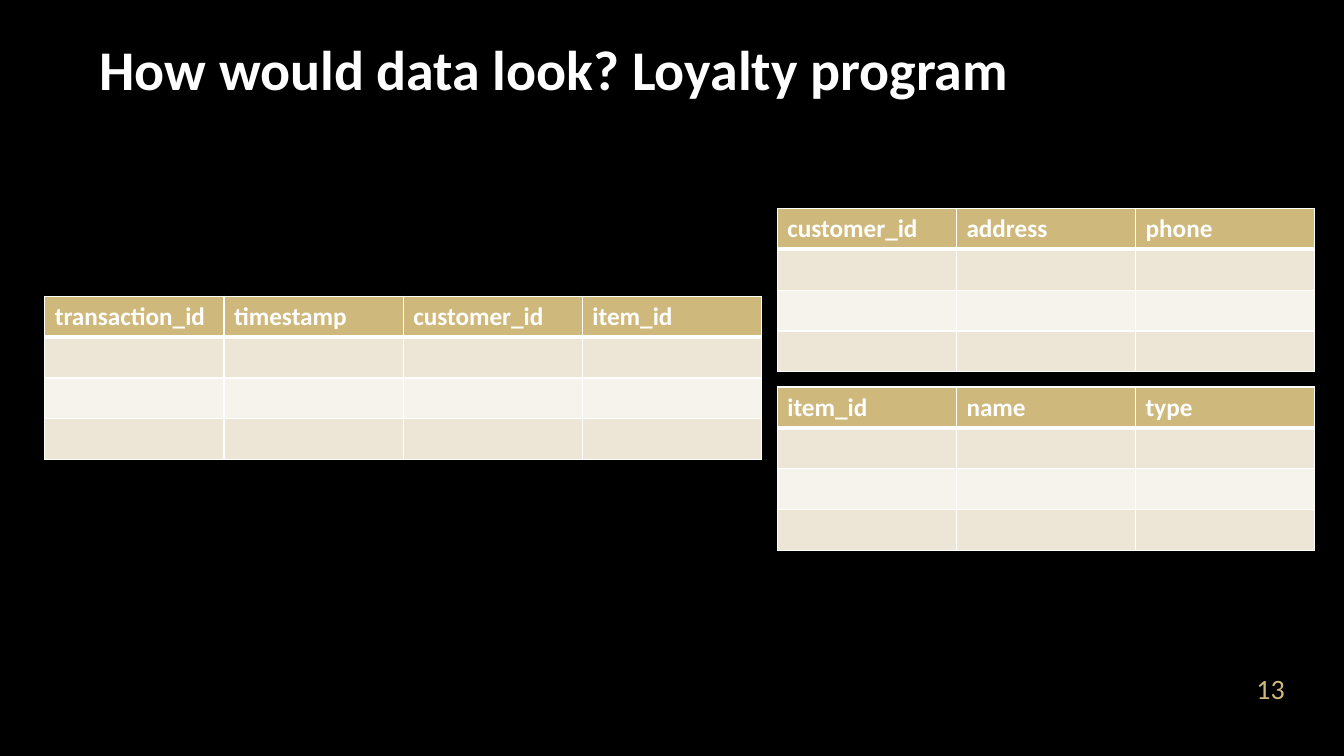
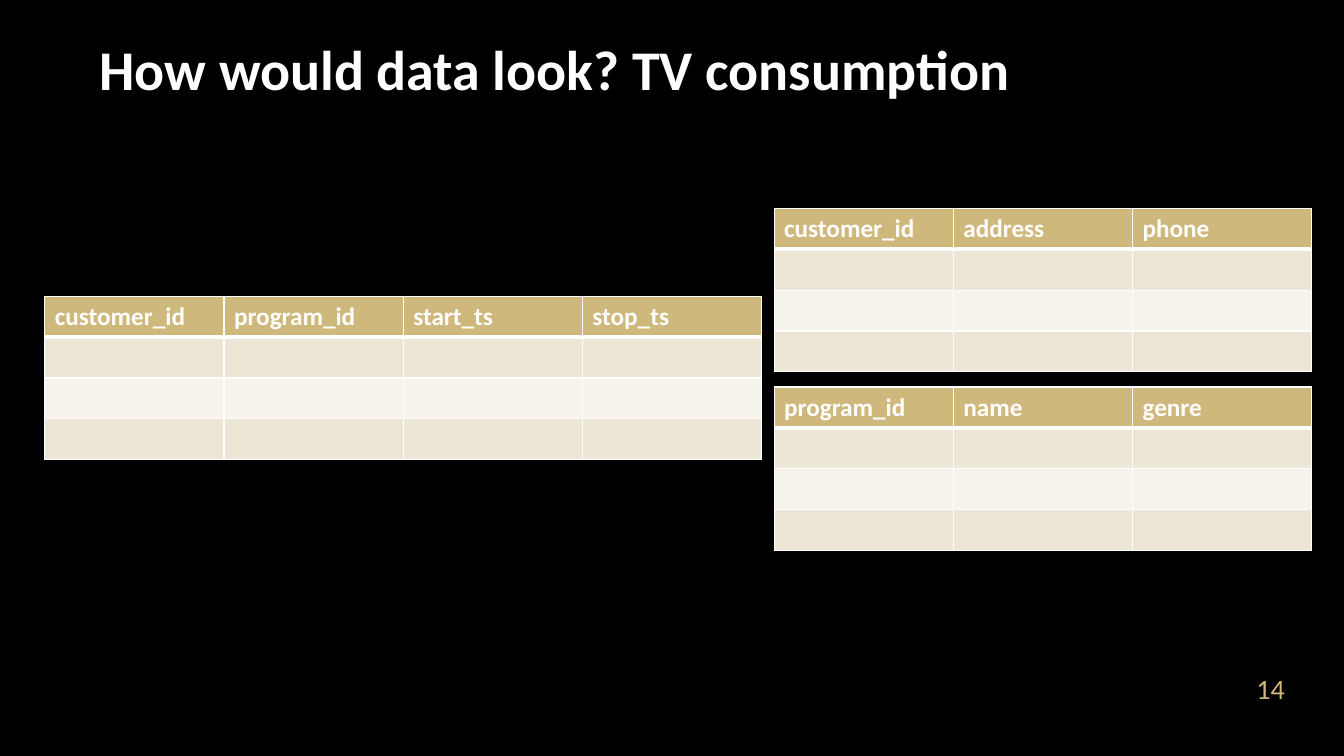
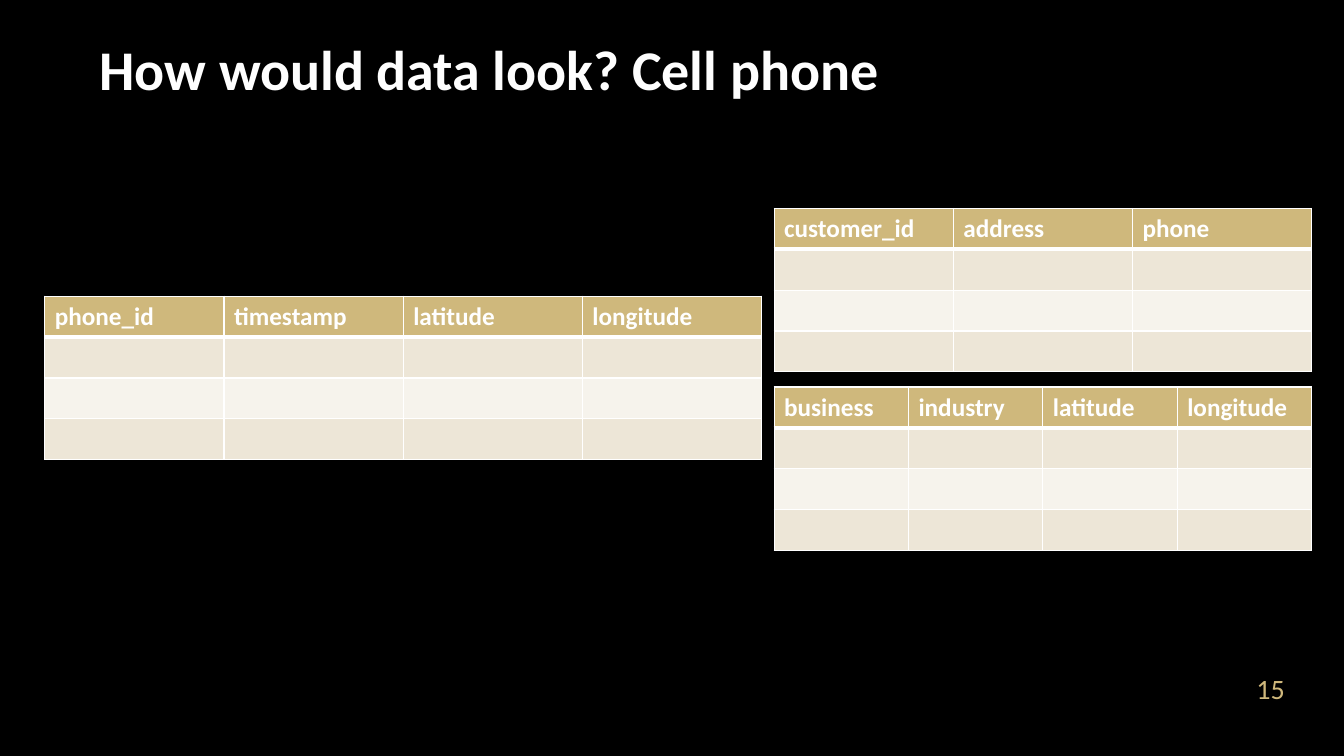
from lxml import etree
from pptx import Presentation, util as u
from pptx.dml.color import RGBColor
from pptx.enum import text
from pptx.oxml import ns

COLORS = {"back": "000000", "title": "FEFEFE", "gold": "CFB87C", "white": "FFFFFF",
          "band": "EDE6D7", "pale": "F6F3EC"}
FONT = "Calibri"
COLS, ROWS = 30, 18.5
BODY_ROWS = 3

SLIDES = [
    ("How would data look? Loyalty program", 17.35,
     ["transaction_id", "timestamp", "customer_id", "item_id"],
     ["item_id", "name", "type"]),
    ("How would data look? TV consumption", 17.28,
     ["customer_id", "program_id", "start_ts", "stop_ts"],
     ["program_id", "name", "genre"]),
    ("How would data look? Cell phone", 17.28,
     ["phone_id", "timestamp", "latitude", "longitude"],
     ["business", "industry", "latitude", "longitude"]),
]
CUSTOMER = ["customer_id", "address", "phone"]


def rgb(name):
    return RGBColor.from_string(COLORS[name])


class Deck:
    def __init__(self):
        self.prs = Presentation()
        self.prs.slide_width = u.Inches(13.33)
        self.prs.slide_height = u.Inches(7.5)
        self.s = None

    def x(self, cols):
        return int(self.prs.slide_width * cols / COLS)

    def y(self, rows):
        return int(self.prs.slide_height * rows / ROWS)

    def box(self, col, row, cols, rows):
        return self.x(col), self.y(row), self.x(cols), self.y(rows)

    def style(self, p, size, color, bold=False):
        for r in p.runs:
            r.font.name = FONT
            r.font.size = u.Pt(size)
            r.font.bold = bold
            r.font.color.rgb = rgb(color)

    def slide(self, title, number):
        self.s = self.prs.slides.add_slide(self.prs.slide_layouts[6])
        fill = self.s.background.fill
        fill.solid()
        fill.fore_color.rgb = rgb("back")
        self.label(title, (2, 0, 26, 2.61), 40, "title", bold=True)
        tf = self.label(str(number), (26.29, 15.96, 2.61, 1.33), 20, "gold")
        tf.margin_bottom = u.Inches(0.01)
        tf.paragraphs[0].alignment = text.PP_ALIGN.RIGHT

    def label(self, words, place, size, color, bold=False):
        tf = self.s.shapes.add_textbox(*self.box(*place)).text_frame
        tf.word_wrap = True
        tf.vertical_anchor = text.MSO_ANCHOR.BOTTOM
        tf.text = words
        self.style(tf.paragraphs[0], size, color, bold)
        return tf

    def table(self, heads, col, row, cols):
        count = BODY_ROWS + 1
        frame = self.s.shapes.add_table(count, len(heads), *self.box(col, row, cols, count))
        table = frame.table
        for column in table.columns:
            column.width = self.x(cols / len(heads))
        for i, line in enumerate(table.rows):
            line.height = self.y(1)
            for j, cell in enumerate(line.cells):
                self.borders(cell, top=3 if i == 1 else 1, bottom=3 if i == 0 else 1)
                cell.fill.solid()
                cell.fill.fore_color.rgb = rgb("gold" if i == 0 else "band" if i % 2 else "pale")
                if i == 0:
                    cell.text = heads[j]
                    self.style(cell.text_frame.paragraphs[0], 18, "white", bold=True)

    def borders(self, cell, top, bottom):
        tc_pr = cell._tc.get_or_add_tcPr()
        for side, width in (("L", 1), ("R", 1), ("T", top), ("B", bottom)):
            ln = etree.SubElement(tc_pr, ns.qn("a:ln" + side), w=str(u.Pt(width)))
            fill = etree.SubElement(ln, ns.qn("a:solidFill"))
            etree.SubElement(fill, ns.qn("a:srgbClr"), val=COLORS["white"])


def main():
    deck = Deck()
    for number, (title, right, events, items) in enumerate(SLIDES, 13):
        deck.slide(title, number)
        deck.table(events, 1, 7.25, 16)
        deck.table(CUSTOMER, right, 5.1, 12)
        deck.table(items, right, 9.47, 12)
    deck.prs.save("out.pptx")


if __name__ == "__main__":
    main()
